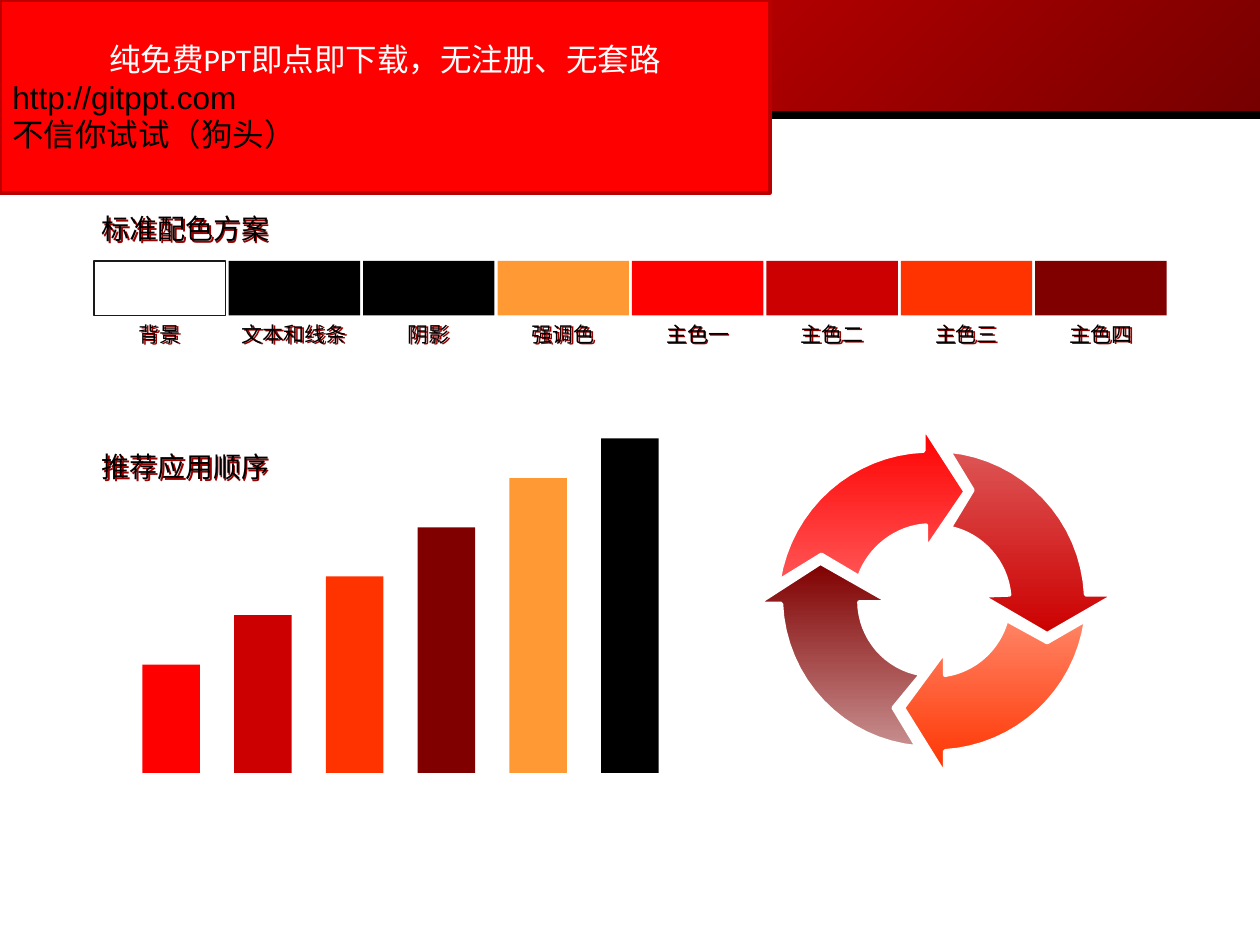
import math

from lxml import etree
from pptx import Presentation, util as u
from pptx.dml.color import RGBColor
from pptx.enum import shapes, text
from pptx.oxml.ns import qn

BANNER = [
    ("纯免费PPT即点即下载，无注册、无套路", dict(font="Calibri", color="FFFFFF", align="CENTER")),
    ("http://gitppt.com", {}),
    ("不信你试试（狗头）", {}),
]
HEADINGS = [("标准配色方案", 4.14), ("推荐应用顺序", 8.94)]
SWATCHES = [
    ("背景", "FFFFFF"), ("文本和线条", "000000"), ("阴影", "000000"), ("强调色", "FF9933"),
    ("主色一", "FF0000"), ("主色二", "CC0000"), ("主色三", "FF3300"), ("主色四", "800000"),
]
BARS = [("FF0000", 2.18), ("CC0000", 3.18), ("FF3300", 3.96),
        ("800000", 4.95), ("FF9933", 5.94), ("000000", 6.74)]

# Cycle arrows: gradient, then inner tail, inner neck, inner barb, tip,
# outer barb, outer neck, outer tail, notch (cm)
CENTER = (18.82, 12.12)
ARROWS = [
    ("FF0000", "FF5555", [(17.32, 11.63), (18.67, 10.59), (18.67, 11.07), (19.46, 9.91),
                          (18.62, 8.61), (18.62, 9.09), (15.7, 11.71), (16.56, 11.18)]),
    ("FF8465", "FF3300", [(20.29, 12.5), (19.05, 13.61), (19.05, 13.13), (18.21, 14.27),
                          (19.05, 15.62), (19.05, 15.14), (21.89, 12.5), (21.11, 12.95)]),
    ("800000", "C78E8E", [(18.57, 13.59), (17.32, 12.14), (17.93, 12.14), (16.54, 11.35),
                          (15.27, 12.17), (15.75, 12.17), (18.49, 15.06), (18.01, 14.27)]),
    ("DD5555", "CC0000", [(19.15, 10.64), (20.35, 11.99), (19.79, 12.01), (21.11, 12.78),
                          (22.48, 11.99), (21.89, 11.99), (19.13, 9.09), (19.61, 9.88)]),
]

prs = Presentation()
prs.slide_width, prs.slide_height = u.Cm(25.4), u.Cm(19.05)
s = prs.slides.add_slide(prs.slide_layouts[6])


def rgb(value):
    return RGBColor.from_string(value)


def style(sp, fill, line=None, width=1, angle=90):
    """Fill with one colour, or with a (start, end) gradient turned clockwise by angle."""
    sp.shadow.inherit = False
    if isinstance(fill, tuple):
        sp.fill.gradient()
        sp.fill.gradient_angle = 360 - angle
        for stop, color in zip(sp.fill.gradient_stops, fill):
            stop.color.rgb = rgb(color)
    else:
        sp.fill.solid()
        sp.fill.fore_color.rgb = rgb(fill)
    if line:
        sp.line.color.rgb = rgb(line)
        sp.line.width = u.Pt(width)
    else:
        sp.line.fill.background()


def rect(x, y, w, h, fill, **kw):
    sp = s.shapes.add_shape(shapes.MSO_SHAPE.RECTANGLE, u.Cm(x), u.Cm(y), u.Cm(w), u.Cm(h))
    style(sp, fill, **kw)
    return sp


def write(p, words, size=18, font="Arial", color="000000", align="LEFT"):
    p.alignment = text.PP_ALIGN[align]
    r = p.add_run()
    r.text = words
    r.font.size, r.font.name = u.Pt(size), font
    r.font.color.rgb = rgb(color)


def shadowed_text(x, y, w, h, words, **kw):
    sp = s.shapes.add_textbox(u.Cm(x), u.Cm(y), u.Cm(w), u.Cm(h))
    sp.text_frame.word_wrap = True
    write(sp.text_frame.paragraphs[0], words, **kw)
    effects = etree.SubElement(sp.element.spPr, qn("a:effectLst"))
    shadow = etree.SubElement(effects, qn("a:outerShdw"), dist="17961", dir="2700000")
    etree.SubElement(shadow, qn("a:srgbClr"), val="990000")


def arc(start, end, steps=16):
    """Points from start to end, sweeping the short way round CENTER."""
    (r0, a0), (r1, a1) = [
        (math.dist(CENTER, (x, y)), math.atan2(y - CENTER[1], x - CENTER[0]))
        for x, y in (start, end)]
    sweep = (a1 - a0 + math.pi) % math.tau - math.pi
    for i in range(steps + 1):
        t = i / steps
        radius, a = r0 + (r1 - r0) * t, a0 + sweep * t
        yield CENTER[0] + radius * math.cos(a), CENTER[1] + radius * math.sin(a)


def cycle_arrow(start, end, corners):
    inner_tail, inner_neck, *head, outer_neck, outer_tail, notch = corners
    outline = [*arc(inner_tail, inner_neck), *head, *arc(outer_neck, outer_tail), notch]
    points = [(u.Cm(x), u.Cm(y)) for x, y in outline]
    builder = s.shapes.build_freeform(*points[0])
    builder.add_line_segments(points[1:], close=True)
    style(builder.convert_to_shape(), (start, end), line="FFFFFF", width=2.25)


# Header band and rule
rect(0, 0, 25.4, 2.31, ("FF0000", "760000"), angle=45)
rule = s.shapes.add_connector(shapes.MSO_CONNECTOR.STRAIGHT, 0, u.Cm(2.31), u.Cm(25.4), u.Cm(2.31))
rule.line.color.rgb = rgb("000000")
rule.line.width = u.Pt(4.5)
etree.SubElement(rule.element.spPr, qn("a:effectLst"))

# Colour scheme with labels centred below
SWATCH_W, LABEL_W = 2.65, 2.87
for i, (name, color) in enumerate(SWATCHES):
    x = 1.9 + i * 2.71
    rect(x, 5.26, SWATCH_W, 1.1, color, line="191919" if color == "FFFFFF" else None)
    shadowed_text(x + (SWATCH_W - LABEL_W) / 2, 6.35, LABEL_W, 0.76, name, size=12, align="CENTER")

# Bars on a common base
for i, (color, height) in enumerate(BARS):
    rect(2.87 + i * 1.85, 15.58 - height, 1.16, height, color)

for words, y in HEADINGS:
    shadowed_text(1.8, y, 6.4, 0.94, words, size=16)

for arrow in ARROWS:
    cycle_arrow(*arrow)

# Banner
tf = rect(0, 0, 15.52, 3.89, "FF0000", line="BC0000", width=2).text_frame
tf.vertical_anchor = text.MSO_ANCHOR.MIDDLE
for i, (words, kw) in enumerate(BANNER):
    write(tf.add_paragraph() if i else tf.paragraphs[0], words, **kw)

prs.save("out.pptx")
